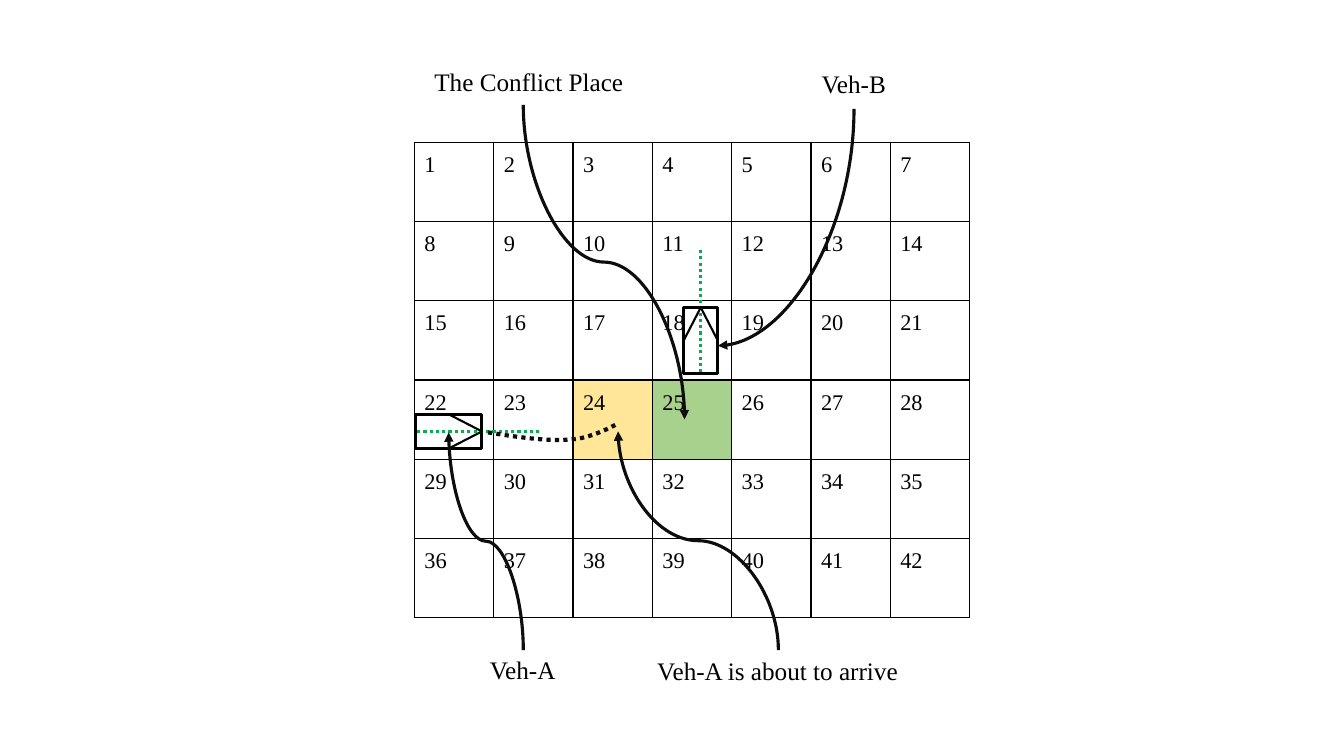
from typing import NamedTuple

from lxml.etree import SubElement
from pptx import Presentation
from pptx.dml.color import RGBColor
from pptx.enum.dml import MSO_LINE
from pptx.enum.shapes import MSO_CONNECTOR, MSO_SHAPE
from pptx.enum.text import MSO_AUTO_SIZE
from pptx.oxml import parse_xml
from pptx.oxml.ns import nsdecls, qn
from pptx.util import Inches, Pt

COLORS = {"black": "000000", "pointer": "0D0D0D", "trail": "00B050",
          "next": "FFE699", "conflict": "A9D18E"}
FONT = "Times New Roman"
COLUMNS, ROWS = 7, 6
GRID_LEFT, GRID_TOP, CELL_SIZE = 4.11, 1.41, 0.787
CELL_FILLS = {24: "next", 25: "conflict"}
VEHICLE_LENGTH, VEHICLE_WIDTH = 0.66, 0.34
TRAIL_BEHIND, TRAIL_AHEAD = 0.34, 0.9


class Point(NamedTuple):
    x: float
    y: float


class Vehicle(NamedTuple):
    center: Point
    heading: Point


class Label(NamedTuple):
    text: str
    left: float
    top: float
    width: float


class Pointer(NamedTuple):
    start: Point
    end: Point
    rotation: int
    preset: str = "curvedConnector3"


VEHICLES = [Vehicle(Point(4.45, 4.28), Point(1, 0)),
            Vehicle(Point(6.95, 3.38), Point(0, -1))]
LABELS = [Label("The Conflict Place", 4.21, 0.61, 2.22),
          Label("Veh-B", 8.05, 0.63, 0.86),
          Label("Veh-A", 4.76, 6.44, 0.87),
          Label("Veh-A is about to arrive", 6.42, 6.45, 2.6)]
POINTERS = [Pointer(Point(5.19, 1.04), Point(6.79, 4.16), 270),
            Pointer(Point(8.47, 1.08), Point(7.12, 3.43), 90, "curvedConnector2"),
            Pointer(Point(5.19, 6.45), Point(4.45, 4.29), 270),
            Pointer(Point(7.72, 6.45), Point(6.13, 4.28), 270)]
ROUTE_CURVES = [
    (Point(4.84, 4.29), Point(5.14, 4.34), Point(5.45, 4.38), Point(5.66, 4.36)),
    (Point(5.66, 4.36), Point(5.88, 4.35), Point(6.13, 4.2), Point(6.13, 4.2))]


def rgb(name: str) -> RGBColor:
    return RGBColor.from_string(COLORS[name])


def style_font(font, size: int) -> None:
    font.name, font.size = FONT, Pt(size)
    font.color.rgb = rgb("black")


def style_line(line, color: str, width: float, dotted: bool = False) -> None:
    line.color.rgb = rgb(color)
    line.width = Pt(width)
    if dotted:
        line.dash_style = MSO_LINE.ROUND_DOT


def add_line(slide, start: Point, end: Point, color: str, width: float,
             dotted: bool = False, kind=MSO_CONNECTOR.STRAIGHT):
    connector = slide.shapes.add_connector(
        kind, Inches(start.x), Inches(start.y), Inches(end.x), Inches(end.y))
    style_line(connector.line, color, width, dotted)
    SubElement(connector._element.spPr, qn("a:effectLst"))
    return connector


def set_borders(cell) -> None:
    properties = cell._tc.get_or_add_tcPr()
    for index, side in enumerate("LRTB"):
        properties.insert(index, parse_xml(
            f'<a:ln{side} {nsdecls("a")} w="{Pt(1)}"><a:solidFill>'
            f'<a:srgbClr val="{COLORS["black"]}"/></a:solidFill></a:ln{side}>'))


def add_grid(slide) -> None:
    table = slide.shapes.add_table(
        ROWS, COLUMNS, Inches(GRID_LEFT), Inches(GRID_TOP),
        Inches(COLUMNS * CELL_SIZE), Inches(ROWS * CELL_SIZE)).table
    table.first_row = table.horz_banding = False
    for column in table.columns:
        column.width = Inches(CELL_SIZE)
    for row in table.rows:
        row.height = Inches(CELL_SIZE)
    for number, cell in enumerate(table.iter_cells(), start=1):
        cell.text = str(number)
        style_font(cell.text_frame.paragraphs[0].font, 16)
        cell.margin_left = cell.margin_right = Inches(0.1)
        cell.margin_top = cell.margin_bottom = Inches(0.1)
        if number in CELL_FILLS:
            cell.fill.solid()
            cell.fill.fore_color.rgb = rgb(CELL_FILLS[number])
        else:
            cell.fill.background()
        set_borders(cell)


def add_vehicle(slide, vehicle: Vehicle) -> None:
    center, heading = vehicle

    def place(ahead: float, aside: float = 0) -> Point:
        return Point(center.x + ahead * heading.x - aside * heading.y,
                     center.y + ahead * heading.y + aside * heading.x)

    add_line(slide, place(TRAIL_AHEAD), place(-TRAIL_BEHIND), "trail", 2.25, True)
    width, height = VEHICLE_LENGTH, VEHICLE_WIDTH
    if heading.y:
        width, height = height, width
    body = slide.shapes.add_shape(
        MSO_SHAPE.RECTANGLE, Inches(center.x - width / 2),
        Inches(center.y - height / 2), Inches(width), Inches(height))
    body.shadow.inherit = False
    body.fill.background()
    style_line(body.line, "black", 2.25)
    for side in (-1, 1):
        add_line(slide, place(0, side * VEHICLE_WIDTH / 2),
                 place(VEHICLE_LENGTH / 2), "black", 1.5)


def curve_point(curve: tuple, t: float) -> tuple:
    weights = ((1 - t) ** 3, 3 * t * (1 - t) ** 2, 3 * t ** 2 * (1 - t), t ** 3)
    return tuple(Inches(sum(w * p[axis] for w, p in zip(weights, curve)))
                 for axis in (0, 1))


def add_route(slide) -> None:
    steps = 12
    points = [curve_point(curve, step / steps)
              for curve in ROUTE_CURVES for step in range(1, steps + 1)]
    builder = slide.shapes.build_freeform(*curve_point(ROUTE_CURVES[0], 0))
    builder.add_line_segments(points, close=False)
    route = builder.convert_to_shape()
    route.shadow.inherit = False
    route.fill.background()
    style_line(route.line, "pointer", 3, True)


def add_pointer(slide, pointer: Pointer) -> None:
    # The curve is laid out sideways around its middle, then turned
    start, end = pointer.start, pointer.end
    middle = Point((start.x + end.x) / 2, (start.y + end.y) / 2)
    turn = 1 if pointer.rotation == 90 else -1
    half = Point(turn * (end.y - start.y) / 2, -turn * (end.x - start.x) / 2)
    connector = add_line(
        slide, Point(middle.x - half.x, middle.y - half.y),
        Point(middle.x + half.x, middle.y + half.y),
        "pointer", 2.25, kind=MSO_CONNECTOR.CURVE)
    properties = connector._element.spPr
    properties.find(qn("a:xfrm")).set("rot", str(pointer.rotation * 60000))
    properties.find(qn("a:prstGeom")).set("prst", pointer.preset)
    SubElement(properties.find(qn("a:ln")), qn("a:tailEnd"), type="triangle")


def add_label(slide, label: Label) -> None:
    box = slide.shapes.add_textbox(Inches(label.left), Inches(label.top),
                                   Inches(label.width), Inches(0.4))
    frame = box.text_frame
    frame.word_wrap = True
    frame.auto_size = MSO_AUTO_SIZE.SHAPE_TO_FIT_TEXT
    frame.text = label.text
    style_font(frame.paragraphs[0].font, 18)


presentation = Presentation()
presentation.slide_width, presentation.slide_height = Inches(13.33), Inches(7.5)
slide = presentation.slides.add_slide(presentation.slide_layouts[6])

# Numbered grid
add_grid(slide)

# Vehicles and the route ahead of Veh-A
for vehicle in VEHICLES:
    add_vehicle(slide, vehicle)
add_route(slide)

# Labels and their pointers
for pointer, label in zip(POINTERS, LABELS):
    add_pointer(slide, pointer)
    add_label(slide, label)

presentation.save("out.pptx")
